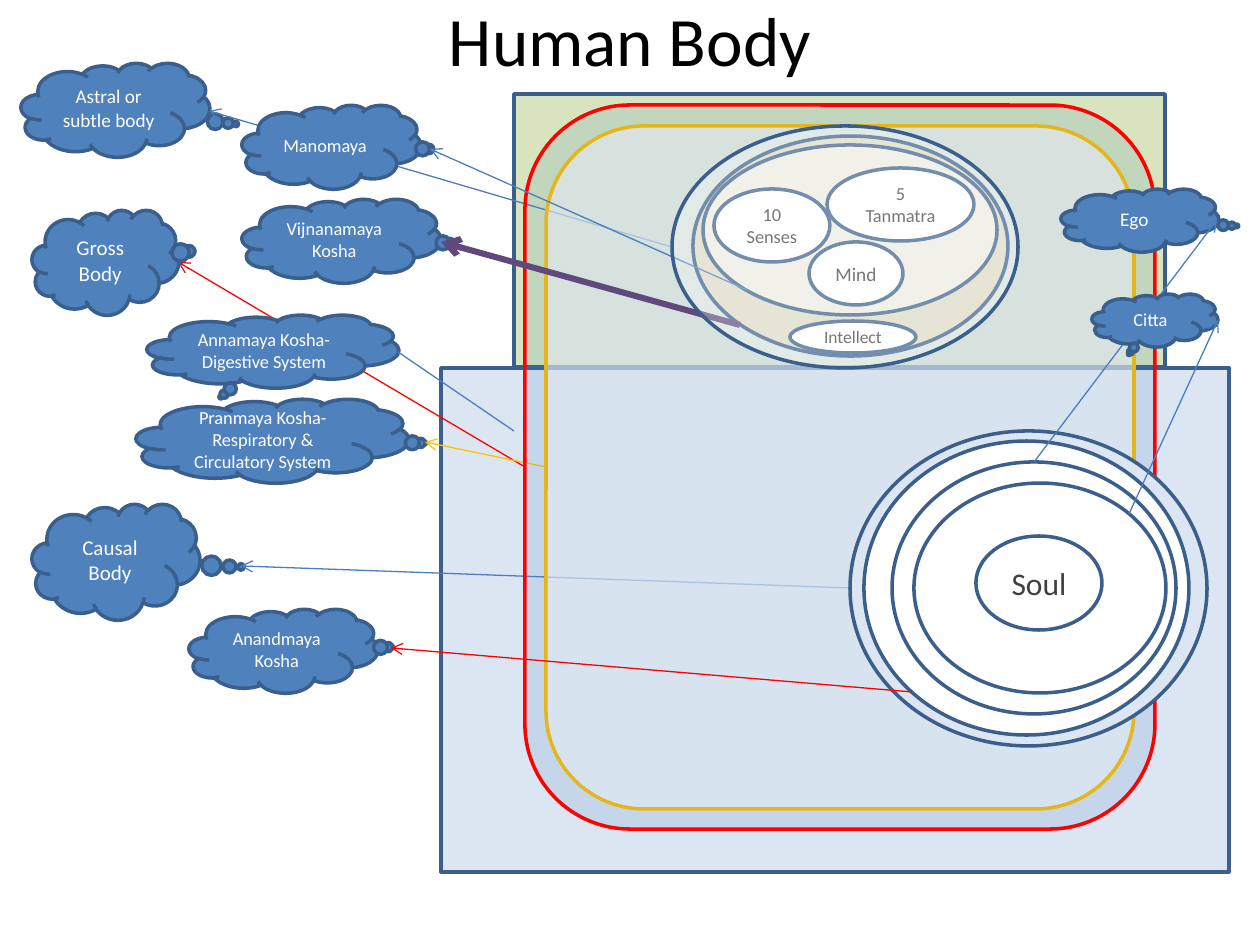
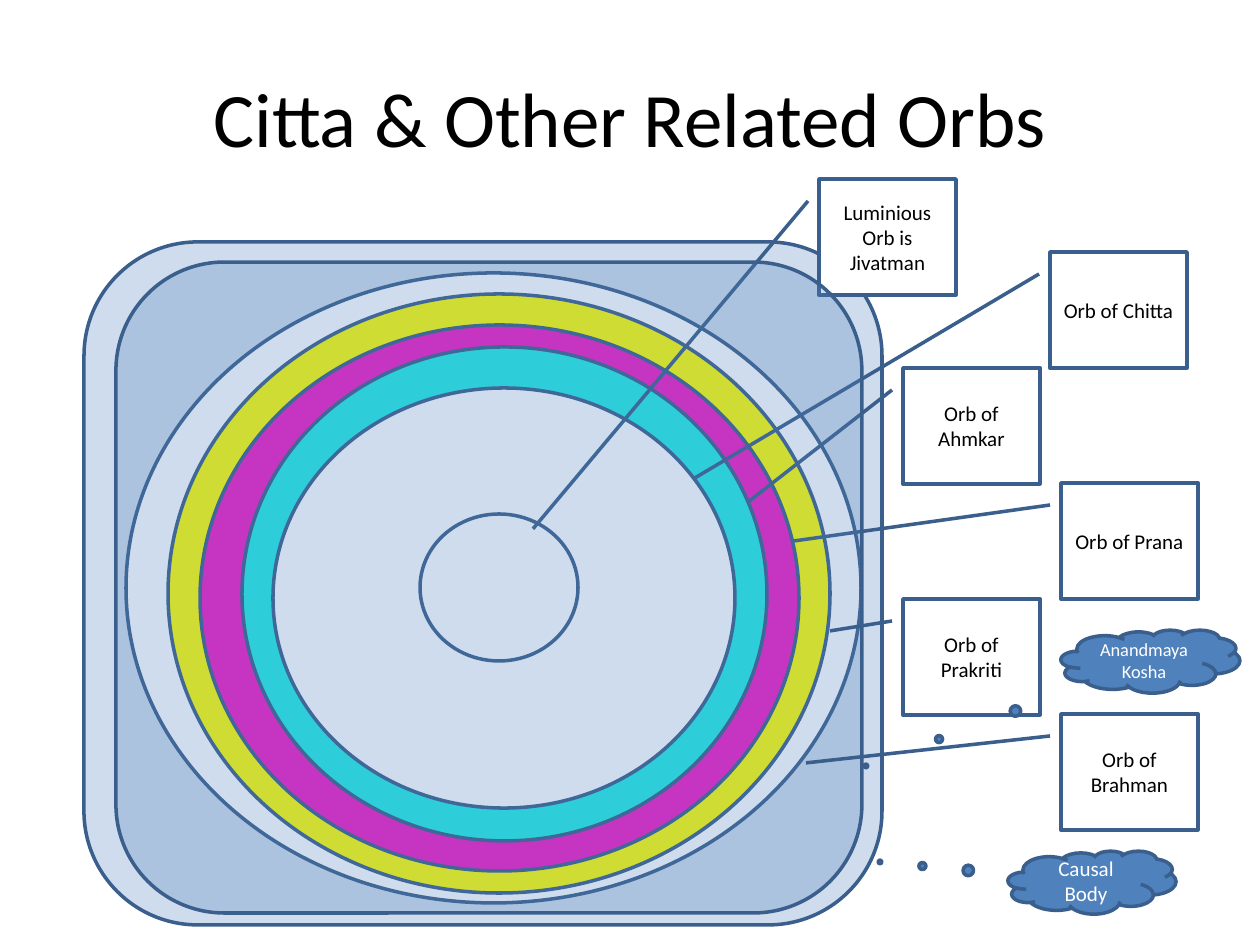
from pptx import Presentation
from pptx.dml.color import RGBColor
from pptx.enum.shapes import MSO_CONNECTOR, MSO_SHAPE
from pptx.enum.text import MSO_ANCHOR, PP_ALIGN
from pptx.oxml.ns import qn
from pptx.util import Inches, Pt
from lxml.etree import SubElement

FONT = "Calibri"
EMU_PER_PIXEL = Inches(1) / 126
WHITE, BLACK, GREY = "FFFFFF", "000000", "404040"
BLUE, OUTLINE, THIN_BLUE = "4F81BD", "3A5F8C", "4B7EBC"
RED, GOLD, PURPLE = "FF0000", "FFC000", "604A7B"
PALE_BLUE, PALE_GREEN = "DCE6F2", "D7E4BD"
TAN, PALE_TAN = "DDD9C3", "EEECE1"
YELLOW, MAGENTA, CYAN = "FFFF00", "F319C4", "22EAE5"


def px(value):
    return round(value * EMU_PER_PIXEL)


def rgb(value):
    return RGBColor.from_string(value)


class Diagram:
    """Holds the style and the slide being drawn."""

    def __init__(self):
        self.deck = Presentation()
        self.deck.slide_width, self.deck.slide_height = Inches(10), Inches(7.5)

    def new_slide(self, title, box, size):
        self.slide = self.deck.slides.add_slide(self.deck.slide_layouts[6])
        heading = self.slide.shapes.add_textbox(*map(px, box))
        self.set_text(heading, title, size, BLACK)

    def set_text(self, holder, text, size, color):
        frame = holder.text_frame
        frame.text = text
        frame.word_wrap = True
        frame.vertical_anchor = MSO_ANCHOR.MIDDLE
        for paragraph in frame.paragraphs:
            paragraph.alignment = PP_ALIGN.CENTER
            for run in paragraph.runs:
                run.font.name, run.font.size = FONT, Pt(size)
                run.font.color.rgb = rgb(color)

    def shape(self, kind, box, fill, line=OUTLINE, opacity=100):
        shape = self.slide.shapes.add_shape(kind, *map(px, box))
        shape.shadow.inherit = False
        shape.fill.solid()
        shape.fill.fore_color.rgb = rgb(fill)
        shape.line.color.rgb = rgb(line)
        shape.line.width = Pt(2)
        if opacity < 100:
            solid = shape._element.spPr.find(qn("a:solidFill"))
            SubElement(solid[0], qn("a:alpha"), val=str(opacity * 1000))
        return shape

    def panel(self, box, fill):
        self.shape(MSO_SHAPE.RECTANGLE, box, fill)

    def sheath(self, box, fill, opacity, line=OUTLINE):
        self.shape(MSO_SHAPE.ROUNDED_RECTANGLE, box, fill, line, opacity)

    def orb(self, box, fill=WHITE, text="", size=10.5, opacity=100):
        orb = self.shape(MSO_SHAPE.OVAL, box, fill, opacity=opacity)
        if text:
            self.set_text(orb, text, size, GREY)

    def cloud(self, box, tip, text, size=10.5):
        """A thought cloud; tip is where its bubbles end."""
        cloud = self.shape(MSO_SHAPE.CLOUD_CALLOUT, box, BLUE)
        left, top, width, height = box
        cloud.adjustments[0] = (tip[0] - left) / width - 0.5
        cloud.adjustments[1] = (tip[1] - top) / height - 0.5
        self.set_text(cloud, text, size, WHITE)

    def callout(self, left, top, tip, text, width=137, height=116):
        """A framed label; tip is where its leader ends."""
        label = self.shape(MSO_SHAPE.LINE_CALLOUT_1,
                           (left, top, width, height), WHITE)
        leader = (0.19, -0.08, (tip[1] - top) / height, (tip[0] - left) / width)
        for index, value in enumerate(leader):
            label.adjustments[index] = value
        self.set_text(label, text, 12, BLACK)

    def pointer(self, start, end, color=THIN_BLUE, width=0.75, arrow=True):
        pointer = self.slide.shapes.add_connector(
            MSO_CONNECTOR.STRAIGHT, *map(px, start + end))
        pointer.line.color.rgb = rgb(color)
        pointer.line.width = Pt(width)
        properties = pointer._element.spPr
        if arrow:
            SubElement(properties.find(qn("a:ln")), qn("a:tailEnd"), type="arrow")
        SubElement(properties, qn("a:effectLst"))


diagram = Diagram()

# Slide 1: the body, its sheaths and their names
diagram.new_slide("Human Body", (63, 10, 1134, 57), 39.6)
diagram.panel((514, 94, 651, 273), PALE_GREEN)
diagram.panel((441, 368, 788, 504), PALE_BLUE)

# Names of the bodies and sheaths on the left
diagram.pointer((525, 467), (178, 262), RED)
diagram.cloud((32, 210, 147, 105), (192, 251), "Gross Body", 12)
diagram.cloud((21, 63, 189, 94), (236, 124), "Astral or subtle body", 11)
diagram.pointer((672, 247), (209, 111))
diagram.cloud((32, 504, 168, 116), (241, 567), "Causal Body", 12)
diagram.pointer((850, 588), (241, 566))
diagram.cloud((189, 609, 189, 84), (391, 647), "Anandmaya Kosha")
diagram.cloud((242, 199, 199, 84), (452, 243), "Vijnanamaya Kosha")
diagram.cloud((136, 399, 273, 84), (424, 443),
              "Pranmaya Kosha- Respiratory & Circulatory System")

# Sheaths around the body
diagram.sheath((546, 126, 588, 683), WHITE, 62, GOLD)
diagram.pointer((546, 467), (425, 442), GOLD)
diagram.sheath((525, 105, 630, 724), BLUE, 15, RED)

# Head: mind, senses and intellect
diagram.orb((693, 136, 315, 220), TAN)
diagram.orb((703, 145, 294, 170), PALE_TAN)
diagram.orb((714, 189, 116, 73), text="10 Senses")
diagram.orb((827, 168, 147, 73), text="5 Tanmatra")
diagram.orb((809, 242, 94, 63), text="Mind", size=11)
diagram.orb((790, 321, 126, 32), text="Intellect", size=10)
diagram.cloud((242, 105, 179, 84), (431, 149), "Manomaya")
diagram.pointer((747, 290), (430, 149))

# Heart: the orbs around the soul
diagram.orb((850, 431, 357, 315), PALE_BLUE)
diagram.orb((864, 441, 325, 294))
diagram.orb((892, 462, 284, 252))
diagram.cloud((1061, 189, 158, 63), (1237, 226), "Ego", 11)
diagram.pointer((1034, 462), (1217, 220))
diagram.orb((914, 483, 252, 210))
diagram.cloud((1092, 294, 126, 53), (1129, 354), "Citta")
diagram.pointer((1129, 514), (1218, 320))
diagram.orb((976, 536, 126, 94), text="Soul", size=18)

# Veil over the head and the remaining names
diagram.pointer((740, 325), (441, 242), PURPLE, 3.5)
diagram.orb((672, 126, 346, 242), opacity=29)
diagram.cloud((147, 315, 252, 73), (221, 397), "Annamaya Kosha- Digestive System")
diagram.pointer((398, 352), (514, 431), arrow=False)
diagram.pointer((912, 692), (391, 648), RED)

# Slide 2: the nested orbs
diagram.new_slide("Citta & Other Related Orbs", (63, 38, 1134, 157), 44)
diagram.sheath((84, 242, 798, 683), BLUE, 27)
for box, fill in (
    ((126, 273, 735, 630), WHITE),
    ((168, 294, 662, 599), YELLOW),
    ((200, 325, 599, 546), MAGENTA),
    ((242, 347, 525, 494), CYAN),
    ((273, 388, 462, 420), WHITE),
    ((420, 514, 158, 147), WHITE),
):
    diagram.orb(box, fill)

# Labels, with the inner sheath veiling the first four leaders
diagram.callout(1050, 252, (695, 478), "Orb of Chitta")
diagram.callout(819, 179, (533, 529), "Luminious Orb is Jivatman")
diagram.callout(903, 368, (747, 503), "Orb of Ahmkar")
diagram.callout(1061, 483, (794, 541), "Orb of Prana")
diagram.sheath((116, 262, 746, 651), BLUE, 27)
diagram.callout(903, 599, (830, 631), "Orb of Prakriti")
diagram.callout(1061, 714, (806, 763), "Orb of Brahman")
diagram.cloud((1008, 851, 168, 63), (880, 862), "Causal Body", 12)
diagram.cloud((1061, 630, 179, 63), (866, 766), "Anandmaya Kosha")

diagram.deck.save("out.pptx")
